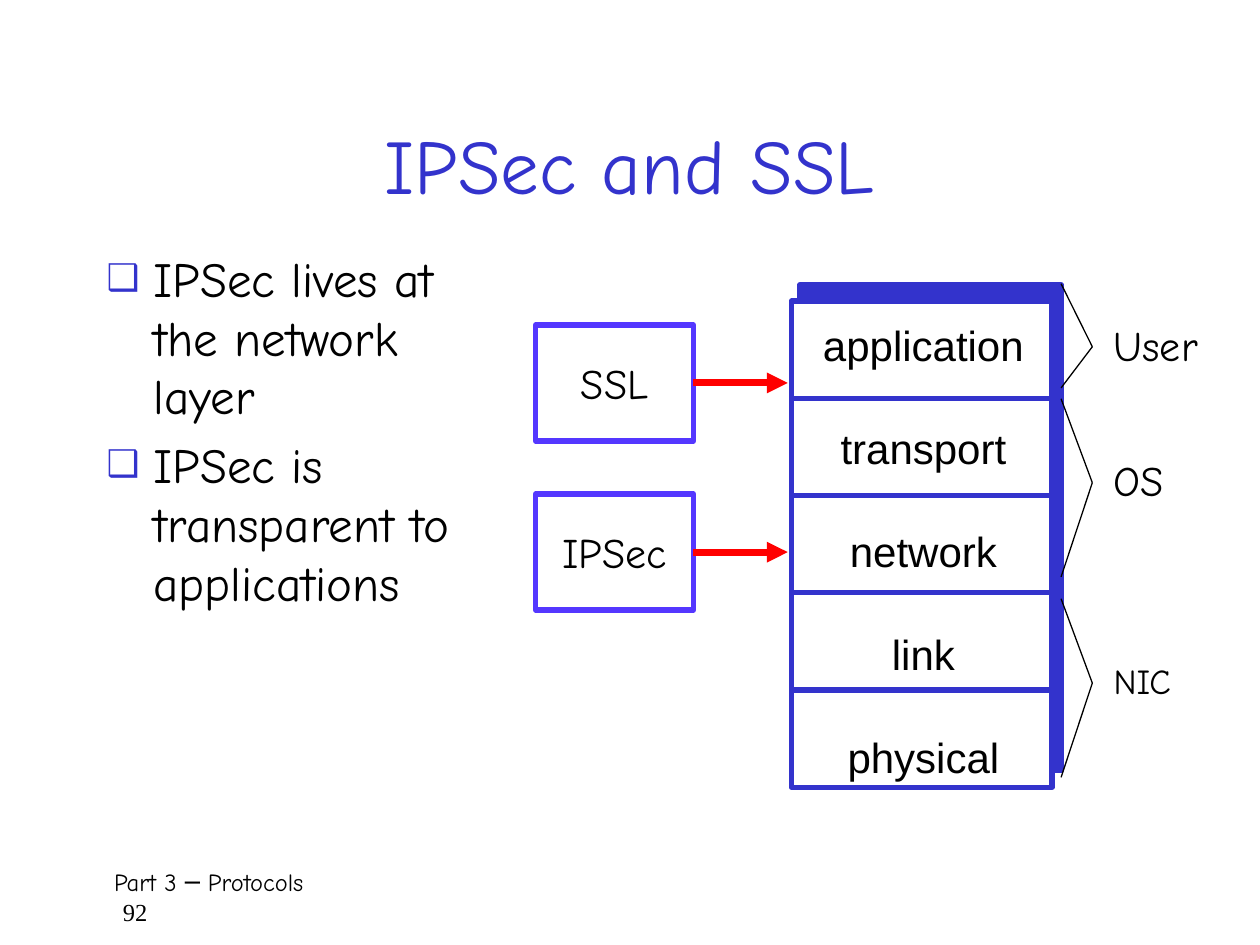
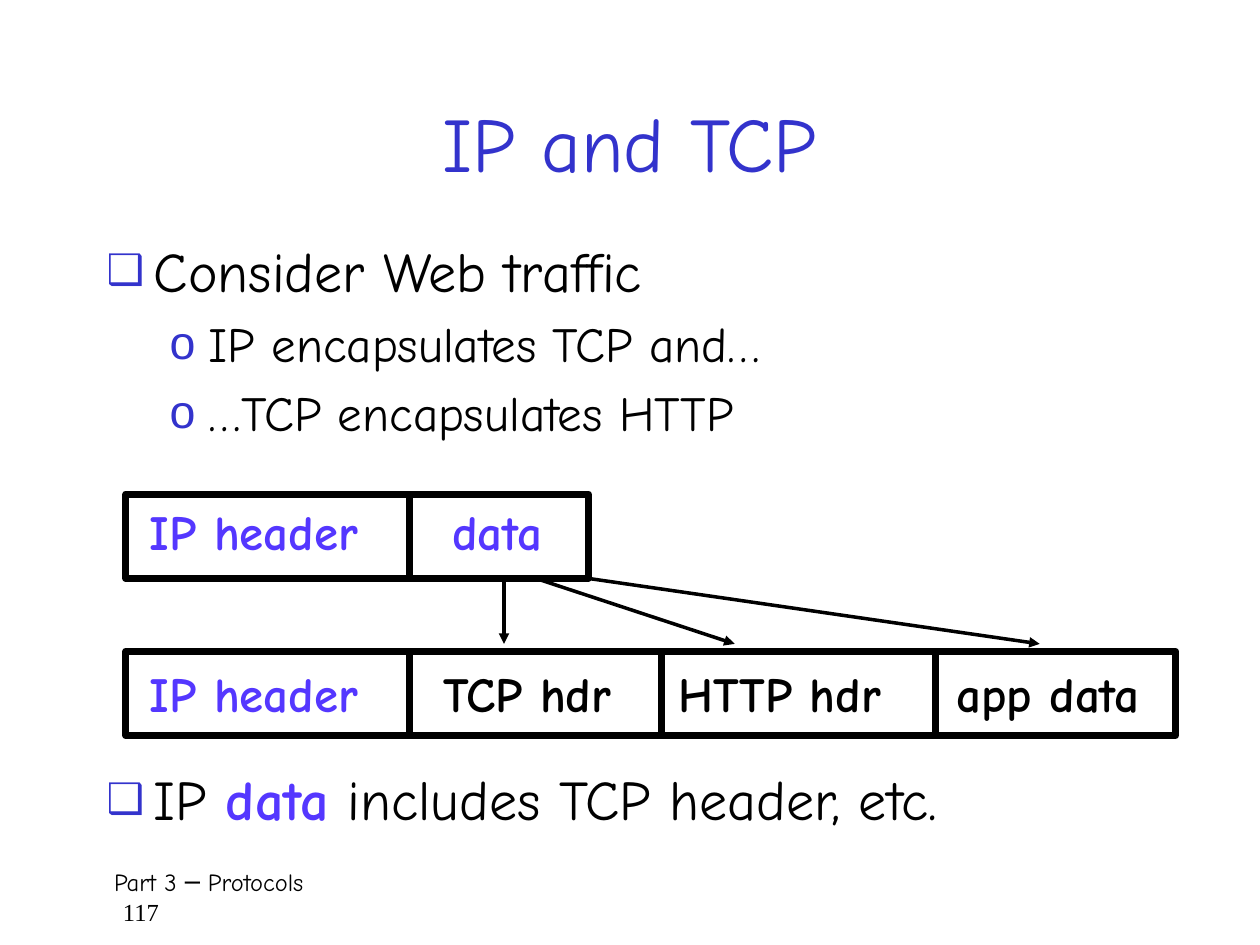
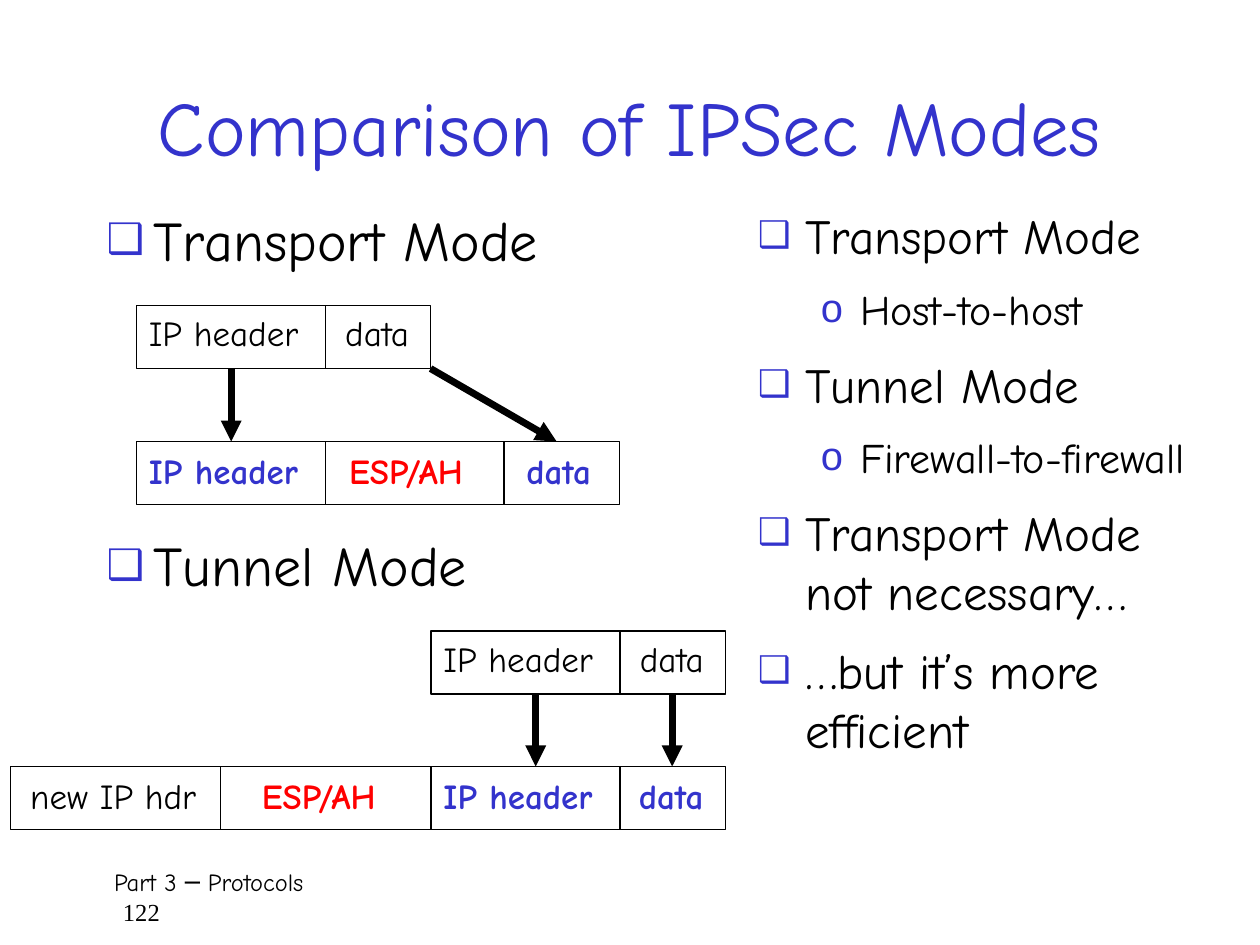
from collections import namedtuple
from itertools import accumulate

from lxml import etree
from pptx import Presentation
from pptx.dml.color import RGBColor
from pptx.enum.shapes import MSO_CONNECTOR, MSO_SHAPE
from pptx.enum.text import MSO_ANCHOR, MSO_AUTO_SIZE, PP_ALIGN
from pptx.oxml.ns import qn
from pptx.util import Cm, Pt

# Shared look
BLUE = RGBColor(0x33, 0x33, 0xCC)
VIOLET = RGBColor(0x54, 0x37, 0xFF)
RED = RGBColor(0xFF, 0x00, 0x00)
BLACK = RGBColor(0x00, 0x00, 0x00)
WHITE = RGBColor(0xFF, 0xFF, 0xFF)
HAND, SANS, SERIF = "Comic Neue", "Arial", "Times New Roman"

RECTANGLE = MSO_SHAPE.RECTANGLE
STRAIGHT = MSO_CONNECTOR.STRAIGHT
MIDDLE, TOP = MSO_ANCHOR.MIDDLE, MSO_ANCHOR.TOP
CENTER, LEFT = PP_ALIGN.CENTER, PP_ALIGN.LEFT
NO_AUTOFIT = MSO_AUTO_SIZE.NONE
TITLE_ONLY = 5
RIGHT_SIDE = 3

# Per level: left margin, hanging indent (cm), sign, sign size
BULLETS = [(0.95, -0.95, "❑", "75000"), (2.06, -0.79, "o", "95000")]

Cell = namedtuple("Cell", "text width inset color bold", defaults=(BLACK, False))


# Basic parts
def style(paragraph, size, color=BLACK, font=HAND, bold=False, align=LEFT):
    paragraph.alignment = align
    for run in paragraph.runs:
        run.font.name = font
        run.font.size = Pt(size)
        run.font.bold = bold
        run.font.color.rgb = color


def add_text(slide, box, text, size, anchor=TOP, **look):
    frame = slide.shapes.add_textbox(*map(Cm, box)).text_frame
    frame.word_wrap = True
    frame.vertical_anchor = anchor
    frame.text = text
    for paragraph in frame.paragraphs:
        style(paragraph, size, **look)
    return frame


def add_rectangle(slide, box, line_color, line_width, fill=None):
    rectangle = slide.shapes.add_shape(RECTANGLE, *map(Cm, box))
    rectangle.shadow.inherit = False
    if fill is None:
        rectangle.fill.background()
    else:
        rectangle.fill.solid()
        rectangle.fill.fore_color.rgb = fill
    rectangle.line.color.rgb = line_color
    rectangle.line.width = Pt(line_width)
    return rectangle


def add_line(slide, start, end, color, width, arrow=False):
    line = slide.shapes.add_connector(STRAIGHT, *map(Cm, (*start, *end)))
    line.line.color.rgb = color
    line.line.width = Pt(width)
    if arrow:
        etree.SubElement(line.line._get_or_add_ln(), qn("a:tailEnd"), type="triangle")
    etree.SubElement(line._element.spPr, qn("a:effectLst"))
    return line


def add_bullet_sign(paragraph, level):
    margin, hanging, sign, sign_size = BULLETS[level]
    paragraph.level = level
    props = paragraph._p.get_or_add_pPr()
    props.set("marL", str(Cm(margin)))
    props.set("indent", str(Cm(hanging)))
    color = etree.SubElement(props, qn("a:buClr"))
    etree.SubElement(color, qn("a:srgbClr"), val=str(BLUE))
    etree.SubElement(props, qn("a:buSzPct"), val=sign_size)
    etree.SubElement(props, qn("a:buFont"), typeface=SANS)
    etree.SubElement(props, qn("a:buChar"), char=sign)


def add_bullets(slide, box, items, sizes, after=0, line_spacing=1.0):
    """Items are (level, text); a part between asterisks is highlighted."""
    frame = slide.shapes.add_textbox(*map(Cm, box)).text_frame
    frame.word_wrap = True
    for index, (level, text) in enumerate(items):
        paragraph = frame.add_paragraph() if index else frame.paragraphs[0]
        for part in text.split("*"):
            paragraph.add_run().text = part
        style(paragraph, sizes[level])
        for run in paragraph.runs[1::2]:
            run.font.bold = True
            run.font.color.rgb = VIOLET
        paragraph.line_spacing = line_spacing
        paragraph.space_before = Pt(round(sizes[level] * 0.2, 1))
        paragraph.space_after = Pt(after)
        add_bullet_sign(paragraph, level)


def add_titled_slide(deck, title, page, top, height):
    slide = deck.slides.add_slide(deck.slide_layouts[TITLE_ONLY])
    heading = slide.shapes.title
    heading.left, heading.top = Cm(1.9), Cm(top)
    heading.width, heading.height = Cm(21.59), Cm(height)
    heading.text_frame.text = title
    heading.text_frame.auto_size = NO_AUTOFIT
    heading.text_frame.vertical_anchor = MIDDLE
    style(heading.text_frame.paragraphs[0], 44, BLUE, align=CENTER)

    # Footer with page number below it
    footer = add_text(slide, (1.9, 17.36, 21.8, 1.27), f"Part 3 ─ Protocols\n{page}", 14)
    for paragraph, indent in zip(footer.paragraphs, (0.15, 0.33)):
        paragraph._p.get_or_add_pPr().set("marL", str(Cm(indent)))
    style(footer.paragraphs[1], 14, font=SERIF)
    return slide


# Protocol stack
def add_stack(slide, left, top, width, height, layers):
    add_rectangle(slide, (left + 0.18, top - 0.33, width, height), BLUE, 3, BLUE)
    add_rectangle(slide, (left, top, width, height), BLUE, 3, WHITE)
    names = add_text(slide, (left + 0.38, top + 0.25, width - 0.69, height - 0.43),
                     "\n".join(layers), 24, font=SANS, align=CENTER)
    for paragraph in names.paragraphs[:-1]:
        paragraph.space_after = Pt(30)
    for index in range(1, len(layers)):
        y = top + height * index / len(layers)
        add_line(slide, (left, y), (left + width, y), BLUE, 3)


def add_protocol(slide, left, top, name, arrow_length):
    width, height = 3.18, 2.34
    protocol = add_rectangle(slide, (left, top, width, height), VIOLET, 3)
    protocol.text_frame.text = name
    protocol.text_frame.vertical_anchor = MIDDLE
    style(protocol.text_frame.paragraphs[0], 24, align=CENTER)
    side, y = left + width, top + height / 2
    arrow = add_line(slide, (side, y), (side + arrow_length, y), RED, 4, arrow=True)
    arrow.begin_connect(protocol, RIGHT_SIDE)


def add_bracket(slide, left, top, tip_y, bottom, label, size):
    tip = (left + 0.63, tip_y)
    add_line(slide, (left, top), tip, BLACK, 0.75)
    add_line(slide, tip, (left, bottom), BLACK, 0.75)
    add_text(slide, (tip[0] + 0.18, tip_y - 0.75, 2.4, 1.4), label, size, anchor=MIDDLE)


# Packets
def add_packet(slide, left, top, height, cells, line_width, size, drop):
    edges = list(accumulate((cell.width for cell in cells), initial=left))
    add_rectangle(slide, (left, top, edges[-1] - left, height), BLACK, line_width)
    for x in edges[1:-1]:
        add_line(slide, (x, top), (x, top + height), BLACK, line_width)
    for cell, x in zip(cells, edges):
        label_box = (x + cell.inset, top + drop, cell.width - cell.inset, height)
        add_text(slide, label_box, cell.text, size, color=cell.color, bold=cell.bold)


def add_encapsulation(slide, left, top, height, pitch, inner, outer, arrows, line_width,
                      size, drops, arrow_width, outer_shift=0, tip_gap=0):
    """Two packets, with arrows (start x, end x) from the upper to the lower."""
    add_packet(slide, left, top, height, inner, line_width, size, drops[0])
    add_packet(slide, left + outer_shift, top + pitch, height, outer, line_width, size, drops[1])
    for start, end in arrows:
        add_line(slide, (left + start, top + height), (left + end, top + pitch - tip_gap),
                 BLACK, arrow_width, arrow=True)


# Slides
def build_layers_slide(deck):
    slide = add_titled_slide(deck, "IPSec and SSL", 92, 1.7, 3.18)
    add_bullets(slide, (1.9, 4.88, 8.26, 11.86),
                [(0, "IPSec lives at the network layer"),
                 (0, "IPSec is transparent to applications")], (28,))
    add_stack(slide, 15.95, 6.07, 5.26, 9.8,
              ["application", "transport", "network", "link", "physical"])
    for name, top in (("SSL", 6.55), ("IPSec", 9.96)):
        add_protocol(slide, 10.8, top, name, 1.9)
    for label, size, top, tip_y, bottom in (("User", 24, 5.72, 6.99, 7.82),
                                            ("OS", 24, 8.04, 9.73, 11.63),
                                            ("NIC", 20, 12.07, 13.77, 15.67)):
        add_bracket(slide, 21.39, top, tip_y, bottom, label, size)


def build_web_traffic_slide(deck):
    slide = add_titled_slide(deck, "IP and TCP", 117, 1.27, 3.18)
    add_bullets(slide, (1.9, 4.65, 21.39, 5.28),
                [(0, "Consider Web traffic"),
                 (1, "IP encapsulates TCP and…"),
                 (1, "…TCP encapsulates HTTP")], (32, 28))
    ip_header = Cell("IP header", 5.72, 0.23, VIOLET, True)
    add_encapsulation(
        slide, 2.54, 9.96, 1.7, 3.17,
        inner=[ip_header, Cell("data", 3.6, 0.61, VIOLET, True)],
        outer=[ip_header,
               Cell("TCP hdr", 5.08, 0.43, BLACK, True),
               Cell("HTTP hdr", 5.51, 0.08, BLACK, True),
               Cell("app data", 4.85, 0.18, BLACK, True)],
        arrows=[(7.62, 7.62), (8.26, 12.27), (9.32, 18.42)],
        line_width=4, size=28, drops=(0.03, 0.13), arrow_width=2, tip_gap=0.15)
    add_bullets(slide, (1.9, 15.45, 21.17, 1.9),
                [(0, "IP *data* includes TCP header, etc.")], (32,), line_spacing=0.9)


def build_modes_slide(deck):
    slide = add_titled_slide(deck, "Comparison of IPSec Modes", 122, 1.27, 2.54)
    for mode, top in (("Transport Mode", 4.02), ("Tunnel Mode", 10.58)):
        add_bullets(slide, (1.9, top, 12.2, 2.12), [(0, mode)], (32,))

    plain = [Cell("IP header", 3.81, 0), Cell("data", 2.12, 0.15)]
    header = Cell("IP header", 3.81, 0, BLUE, True)
    thin = dict(line_width=0.75, size=20, drops=(0, 0.04), arrow_width=4)
    add_encapsulation(
        slide, 2.75, 6.16, 1.27, 2.74, inner=plain,
        outer=[header,
               Cell("ESP/AH", 3.6, 0.23, RED, True),
               Cell("data", 2.33, 0.2, BLUE, True)],
        arrows=[(1.91, 1.91), (5.93, 8.47)], **thin)
    add_encapsulation(
        slide, 8.69, 12.72, 1.27, 2.73, inner=plain,
        outer=[Cell("new IP hdr", 4.24, 0.15),
               Cell("ESP/AH", 4.24, 0.58, RED, True),
               header,
               Cell("data", 2.12, 0.13, BLUE, True)],
        arrows=[(2.11, 2.11), (4.86, 4.86)], outer_shift=-8.48, **thin)

    add_bullets(slide, (15.03, 4.02, 9.53, 13.34),
                [(0, "Transport Mode"), (1, "Host-to-host"),
                 (0, "Tunnel Mode"), (1, "Firewall-to-firewall"),
                 (0, "Transport Mode not necessary…"),
                 (0, "…but it’s more efficient")], (28, 24), after=6)


def main():
    deck = Presentation()
    deck.slide_width, deck.slide_height = Cm(25.4), Cm(19.05)
    build_layers_slide(deck)
    build_web_traffic_slide(deck)
    build_modes_slide(deck)
    deck.save("out.pptx")


if __name__ == "__main__":
    main()
